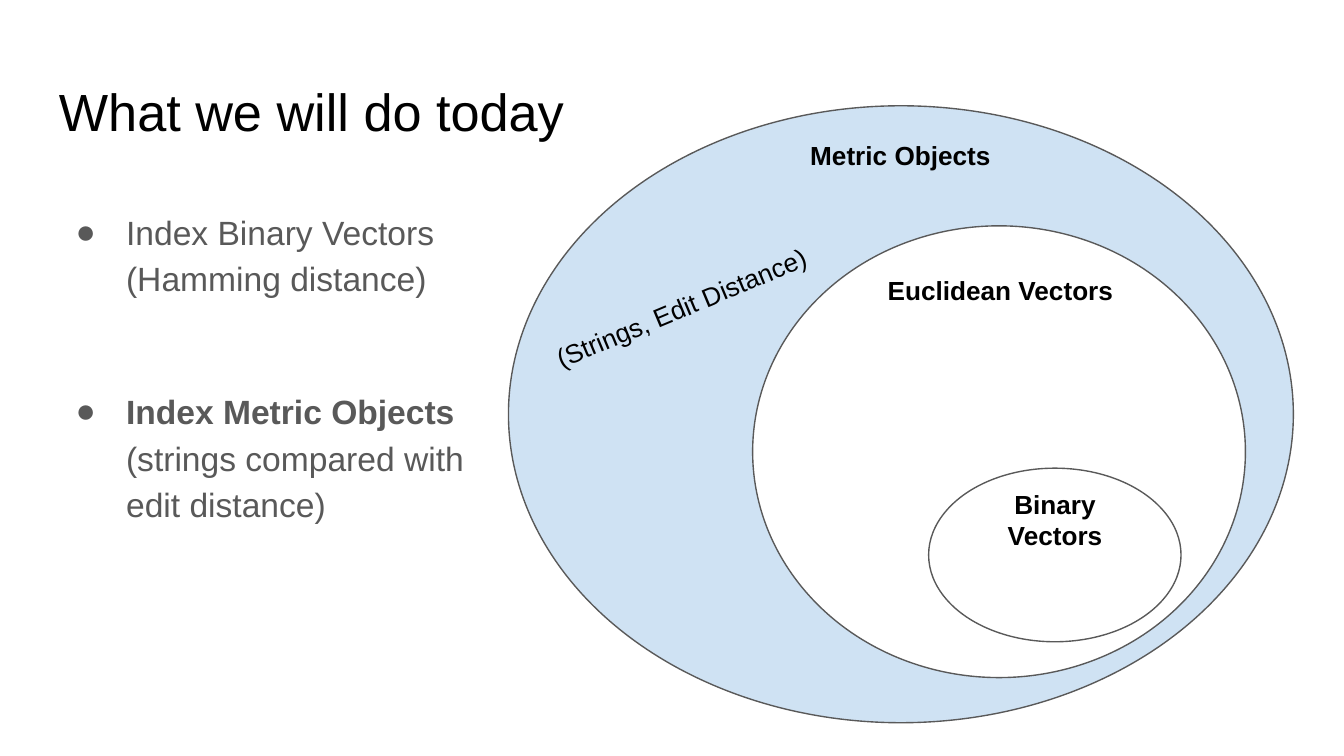
from pptx import Presentation
from pptx.dml.color import RGBColor as Rgb
from pptx.enum.shapes import MSO_SHAPE as Kind
from pptx.enum.text import MSO_ANCHOR as Anchor, PP_ALIGN as Align
from pptx.oxml.ns import qn
from pptx.util import Pt
from lxml.etree import SubElement as Sub

COLORS = {"ink": "000000", "gray": "595959", "blue": "CFE2F3", "white": "FFFFFF"}


class Deck:
    font = "Arial"
    pad = Pt(7.2)

    def __init__(self, wide, high):
        self.prs = Presentation()
        self.prs.slide_width, self.prs.slide_height = Pt(wide), Pt(high)
        self.slide = self.prs.slides.add_slide(self.prs.slide_layouts[6])

    def color(self, name):
        return Rgb.from_string(COLORS[name])

    def frame(self, area, turn=0):
        box = self.slide.shapes.add_textbox(*map(Pt, area))
        box.rotation = turn
        frame = box.text_frame
        frame.word_wrap = True
        frame.vertical_anchor = Anchor.TOP
        frame.margin_left = frame.margin_right = self.pad
        frame.margin_top = frame.margin_bottom = self.pad
        return frame

    def run(self, para, text, size, color="ink", bold=False):
        run = para.add_run()
        run.text = text
        font = run.font
        font.name, font.size, font.bold = self.font, Pt(size), bold
        font.color.rgb = self.color(color)

    def label(self, area, lines, size=14, bold=True, align=Align.CENTER, turn=0):
        frame = self.frame(area, turn)
        for i, line in enumerate(lines):
            para = frame.add_paragraph() if i else frame.paragraphs[0]
            para.alignment = align
            self.run(para, line, size, bold=bold)

    def bullet(self, para):
        props = para._p.get_or_add_pPr()
        props.set("marL", str(Pt(36)))
        props.set("indent", str(-Pt(27)))
        tint = Sub(props, qn("a:buClr"))
        Sub(tint, qn("a:srgbClr"), val=COLORS["gray"])
        Sub(props, qn("a:buFont"), typeface=self.font)
        Sub(props, qn("a:buChar"), char="●")

    def list(self, area, items, size, gap):
        frame = self.frame(area)
        for i, item in enumerate(items):
            para = frame.add_paragraph() if i else frame.paragraphs[0]
            self.bullet(para)
            para.line_spacing = 1.15
            para.space_before = Pt(gap if i else 0)
            for j, (text, bold) in enumerate(item):
                if j:
                    para.add_line_break()
                self.run(para, text, size, "gray", bold)

    def oval(self, area, fill):
        oval = self.slide.shapes.add_shape(Kind.OVAL, *map(Pt, area))
        oval.shadow.inherit = False
        oval.fill.solid()
        oval.fill.fore_color.rgb = self.color(fill)
        oval.line.color.rgb = self.color("gray")
        oval.line.width = Pt(0.75)

    def save(self):
        self.prs.save("out.pptx")


def main():
    deck = Deck(720, 405)
    deck.label((24.5, 35.3, 671, 48.2), ["What we will do today"], 28, False, Align.LEFT)
    deck.list(
        (24.5, 103, 256.3, 187.2),
        [
            [("Index Binary Vectors", False), ("(Hamming distance)", False)],
            [("Index Metric Objects", True), ("(strings compared with edit distance)", False)],
        ],
        18,
        46.5,
    )
    deck.oval((272.4, 56.7, 420.5, 330.5), "blue")
    deck.oval((403.2, 121, 264, 242), "white")
    deck.oval((497.5, 250.8, 135.2, 93), "white")
    deck.label((529.9, 254.2, 70.6, 48.2), ["Binary", "Vectors"])
    deck.label((285.8, 147.6, 165.6, 31.7), ["(Strings, Edit Distance)"],
               bold=False, align=Align.LEFT, turn=337.3)
    deck.label((421.9, 67.7, 121, 31.7), ["Metric Objects"])
    deck.label((451.4, 139.7, 169.2, 31.7), ["Euclidean Vectors"])
    deck.save()


if __name__ == "__main__":
    main()
